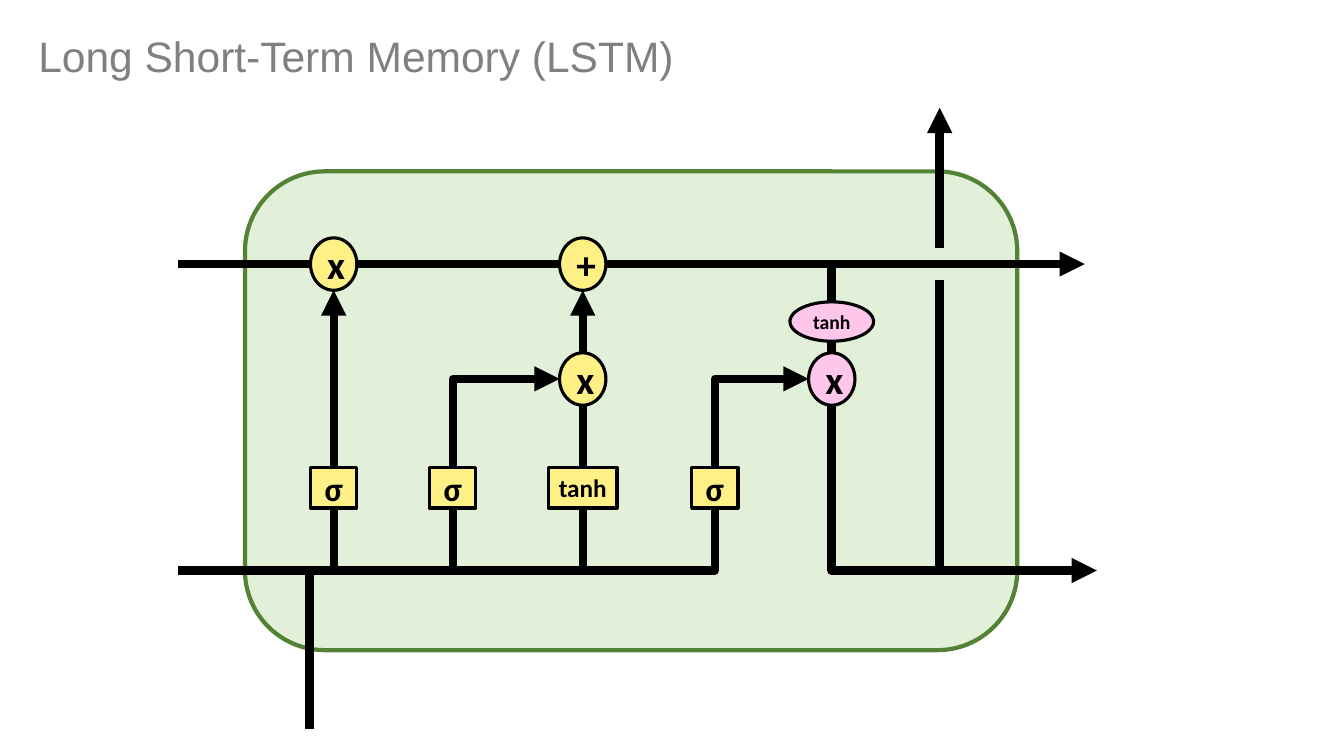
"""Build a slide with the diagram of an LSTM cell."""
from lxml import etree
from pptx import Presentation
from pptx.dml.color import RGBColor
from pptx.enum import shapes, text
from pptx.oxml.ns import qn
from pptx.util import Inches, Pt

BLACK = RGBColor(0, 0, 0)
WHITE = RGBColor(255, 255, 255)
GREY = RGBColor(0x80, 0x80, 0x80)
MINT = RGBColor(0xE2, 0xF0, 0xD9)
GREEN = RGBColor(0x54, 0x82, 0x35)
YELLOW = RGBColor(0xFF, 0xF0, 0x85)
PINK = RGBColor(0xFE, 0xC6, 0xEB)

TITLE = "Long Short-Term Memory (LSTM)"
COLS = {"in": 1.77, "input": 3.07, "forget": 3.31, "gate": 4.49,
        "add": 5.78, "out": 7.09, "read": 8.25, "up": 9.32}
ROWS = {"top": 1.07, "state": 2.62, "squash": 3.19, "times": 3.76,
        "gates": 4.84, "hidden": 5.66, "foot": 7.23}
KINDS = {
    "op": (shapes.MSO_SHAPE.OVAL, 0.46, 0.52, 28),
    "squash": (shapes.MSO_SHAPE.OVAL, 0.83, 0.39, 14),
    "sigma": (shapes.MSO_SHAPE.RECTANGLE, 0.46, 0.4, 24),
    "tanh": (shapes.MSO_SHAPE.RECTANGLE, 0.68, 0.4, 18),
}
NODES = [
    ("x", "op", "forget", "state", YELLOW),
    ("+", "op", "add", "state", YELLOW),
    ("x", "op", "add", "times", YELLOW),
    ("x", "op", "read", "times", PINK),
    ("tanh", "squash", "read", "squash", PINK),
    ("σ", "sigma", "forget", "gates", YELLOW),
    ("σ", "sigma", "gate", "gates", YELLOW),
    ("tanh", "tanh", "add", "gates", YELLOW),
    ("σ", "sigma", "out", "gates", YELLOW),
]
RIM = KINDS["op"][1] / 2
TIP = ROWS["state"] + KINDS["op"][2] / 2
GAP = 0.16
LINES = [
    ("in", "state", 10.76, "state", None, True),
    ("in", "hidden", COLS["read"] - RIM, "times", "out", True),
    ("in", "hidden", COLS["add"] - RIM, "times", "gate", True),
    ("add", "state", 10.88, "hidden", "read", True),
    ("input", "hidden", "input", "foot", None, False),
    ("forget", "hidden", "forget", TIP, None, True),
    ("add", "hidden", "add", TIP, None, True),
    ("up", ROWS["state"] - GAP, "up", "top", None, True),
    ("up", ROWS["state"] + GAP, "up", "hidden", None, False),
]


def paint(shape, fill, edge, width):
    shape.shadow.inherit = False
    shape.fill.solid()
    shape.fill.fore_color.rgb = fill
    shape.line.color.rgb = edge
    shape.line.width = Pt(width)


def write(shape, words, font, size, color, bold):
    para = shape.text_frame.paragraphs[0]
    para.text = words
    para.font.name, para.font.size = font, Pt(size)
    para.font.color.rgb, para.font.bold = color, bold
    return para


def join(slide, x1, y1, x2, y2, bend, arrow):
    x1, x2 = COLS.get(x1, x1), COLS.get(x2, x2)
    y1, y2 = ROWS.get(y1, y1), ROWS.get(y2, y2)
    kind = shapes.MSO_CONNECTOR.ELBOW if bend else shapes.MSO_CONNECTOR.STRAIGHT
    wire = slide.shapes.add_connector(kind, *map(Inches, (x1, y1, x2, y2)))
    wire.line.color.rgb = BLACK
    wire.line.width = Pt(6)
    props = wire._element.spPr
    if bend:
        share = round((COLS[bend] - x1) / (x2 - x1) * 100000)
        guides = props.find(qn("a:prstGeom")).get_or_add_avLst()
        etree.SubElement(guides, qn("a:gd"), name="adj1", fmla=f"val {share}")
    if arrow:
        line = props.find(qn("a:ln"))
        etree.SubElement(line, qn("a:tailEnd"), type="triangle")
    etree.SubElement(props, qn("a:effectLst"))


def node(slide, words, kind, col, row, fill):
    form, wide, high, size = KINDS[kind]
    left, top = COLS[col] - wide / 2, ROWS[row] - high / 2
    shape = slide.shapes.add_shape(form, *map(Inches, (left, top, wide, high)))
    paint(shape, fill, BLACK, 2.25)
    para = write(shape, words, "Calibri", size, BLACK, True)
    para.alignment = text.PP_ALIGN.CENTER


def main():
    deck = Presentation()
    deck.slide_width, deck.slide_height = Inches(13.33), Inches(7.5)
    slide = deck.slides.add_slide(deck.slide_layouts[6])

    title = slide.shapes.add_textbox(*map(Inches, (0.38, 0.22, 10.61, 0.56)))
    title.fill.solid()
    title.fill.fore_color.rgb = WHITE
    frame = title.text_frame
    frame.word_wrap = True
    frame.vertical_anchor = text.MSO_ANCHOR.MIDDLE
    frame.margin_left = frame.margin_right = 0
    frame.margin_top = frame.margin_bottom = 0
    write(title, TITLE, "Arial", 30.4, GREY, False).line_spacing = 1.2

    cell = slide.shapes.add_shape(shapes.MSO_SHAPE.ROUNDED_RECTANGLE,
                                  *map(Inches, (2.43, 1.7, 7.66, 4.75)))
    paint(cell, MINT, GREEN, 3)
    for line in LINES:
        join(slide, *line)
    for item in NODES:
        node(slide, *item)
    deck.save("out.pptx")


if __name__ == "__main__":
    main()
